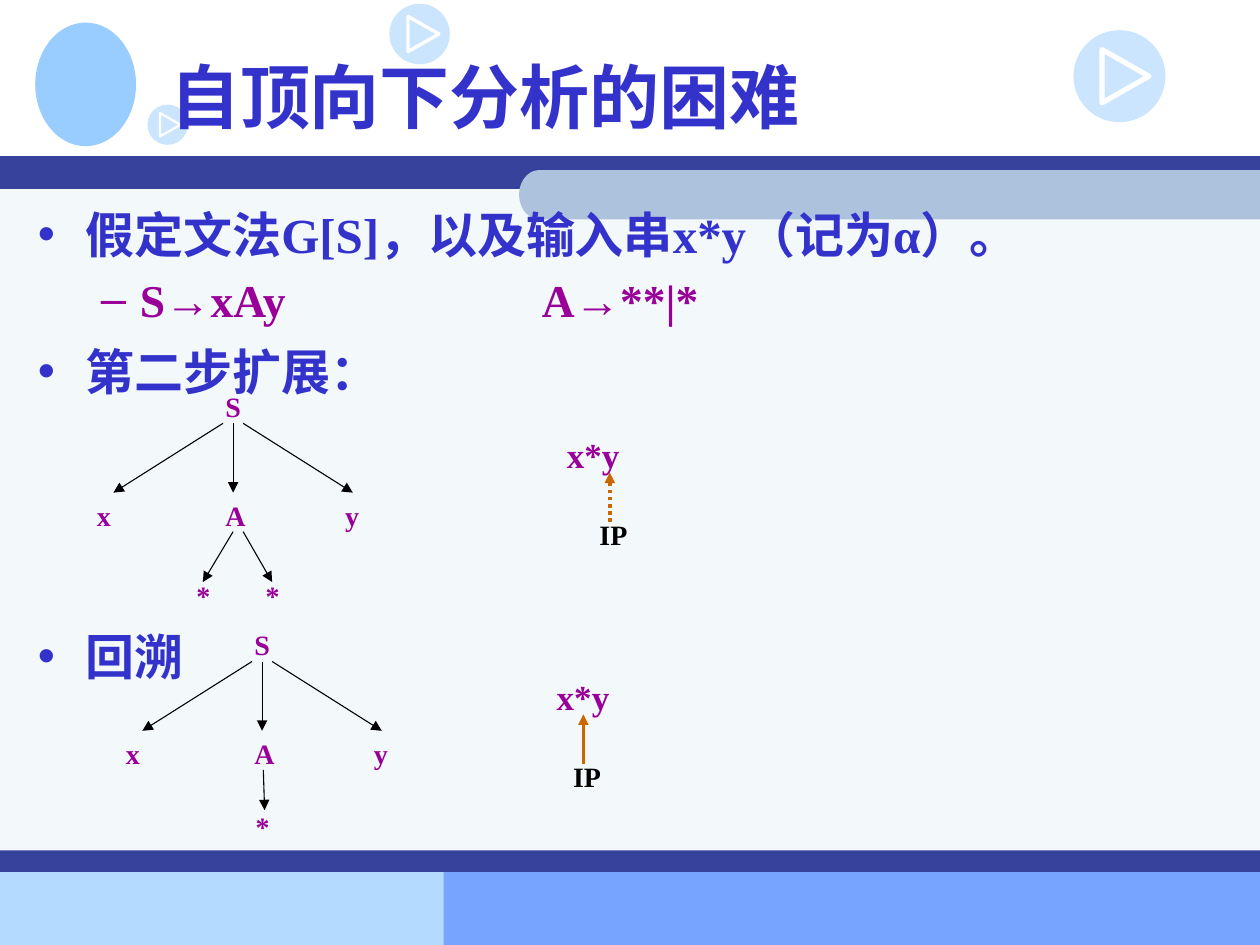
from math import cos, pi, sin

from lxml.etree import SubElement
from pptx import Presentation
from pptx.dml.color import RGBColor
from pptx.enum.dml import MSO_LINE_DASH_STYLE as DASH
from pptx.enum.shapes import MSO_CONNECTOR, MSO_SHAPE as SHAPE
from pptx.enum.text import MSO_ANCHOR, MSO_AUTO_SIZE, PP_ALIGN
from pptx.oxml.ns import qn
from pptx.util import Inches, Pt

WHITE = RGBColor(0xFF, 0xFF, 0xFF)
BLACK = RGBColor(0, 0, 0)
BLUE = RGBColor(0x33, 0x33, 0xCC)
PURPLE = RGBColor(0x99, 0x00, 0x99)
ORANGE = RGBColor(0xCC, 0x66, 0x00)
NAVY = RGBColor(0x36, 0x42, 0x9B)
PALE = RGBColor(0xF3, 0xF8, 0xFB)
STEEL = RGBColor(0xAD, 0xC3, 0xDD)
SKY = RGBColor(0x99, 0xCC, 0xFF)
DISC = RGBColor(0xCC, 0xE5, 0xFF)
FOOT_LEFT = RGBColor(0xB5, 0xDA, 0xFF)
FOOT_RIGHT = RGBColor(0x77, 0xA4, 0xFF)


class SlideBuilder:
    latin = "Times New Roman"
    asian = "Noto Sans CJK SC"

    def __init__(self, slide):
        self.s = slide

    def style(self, r, size, color, name=None):
        values = {"name": name or self.latin, "size": Pt(size), "bold": True}
        for key, value in values.items():
            setattr(r.font, key, value)
        r.font.color.rgb = color
        SubElement(r._r.get_or_add_rPr(), qn("a:ea"), typeface=self.asian)

    def paint(self, sp, fill):
        sp.shadow.inherit = False
        sp.fill.solid()
        sp.fill.fore_color.rgb = fill
        sp.line.fill.background()

    def shape(self, kind, box, fill):
        sp = self.s.shapes.add_shape(kind, *map(Inches, box))
        self.paint(sp, fill)

    def outline(self, points):
        pts = [(Inches(x), Inches(y)) for x, y in points]
        builder = self.s.shapes.build_freeform(*pts[0])
        builder.add_line_segments(pts[1:], close=True)
        return builder.convert_to_shape()

    def tab_band(self, left, top, right, height, radius):
        half = height / 2
        angles = [pi / 2 + pi * i / 24 for i in range(25)]
        curve = [(left + radius + radius * cos(a), top + half - half * sin(a))
                 for a in angles]
        sp = self.outline([(right, top)] + curve + [(right, top + height)])
        self.paint(sp, STEEL)

    def play_icon(self, left, top, size):
        self.shape(SHAPE.OVAL, (left, top, size, size), DISC)
        corners = [(0.31, 0.21), (0.31, 0.79), (0.82, 0.5)]
        sp = self.outline([(left + x * size, top + y * size) for x, y in corners])
        sp.shadow.inherit = False
        sp.fill.background()
        sp.line.color.rgb = WHITE
        sp.line.width = Pt(4 * size)

    def place(self, sp, box):
        for key, value in zip(("left", "top", "width", "height"), box):
            setattr(sp, key, Inches(value))
        self.s.shapes._spTree.append(sp._element)
        sp.text_frame.auto_size = MSO_AUTO_SIZE.NONE

    def title(self, text, box):
        sp = self.s.shapes.title
        self.place(sp, box)
        tf = sp.text_frame
        tf.vertical_anchor = MSO_ANCHOR.MIDDLE
        p = tf.paragraphs[0]
        p.alignment = PP_ALIGN.LEFT
        r = p.add_run()
        r.text = text
        self.style(r, 40, BLUE, self.asian)

    def body(self, items, box):
        sp = self.s.placeholders[1]
        self.place(sp, box)
        tf = sp.text_frame
        for i, (text, level, before) in enumerate(items):
            p = tf.paragraphs[0] if i == 0 else tf.add_paragraph()
            size, color, bullet, margin, indent, line = (
                (28, BLUE, "•", 0.38, -0.38, 36),
                (26, PURPLE, "–", 0.81, -0.31, 30))[level]
            pPr = p._p.get_or_add_pPr()
            pPr.set("marL", str(Inches(margin)))
            pPr.set("indent", str(Inches(indent)))
            clr = SubElement(pPr, qn("a:buClr"))
            SubElement(clr, qn("a:srgbClr"), val=str(color))
            SubElement(pPr, qn("a:buChar"), char=bullet)
            if "\t" in text:
                tabs = SubElement(pPr, qn("a:tabLst"))
                SubElement(tabs, qn("a:tab"), pos=str(Inches(4)), algn="l")
            values = {"level": level, "alignment": PP_ALIGN.LEFT,
                      "space_before": Pt(before), "line_spacing": Pt(line)}
            for key, value in values.items():
                setattr(p, key, value)
            r = p.add_run()
            r.text = text
            self.style(r, size, color)

    def label(self, text, left, top, width, size=16, color=PURPLE):
        height = 0.44 if size == 20 else 0.37
        sp = self.s.shapes.add_textbox(*map(Inches, (left, top, width, height)))
        tf = sp.text_frame
        tf.word_wrap = True
        r = tf.paragraphs[0].add_run()
        r.text = text
        self.style(r, size, color)

    def arrow(self, x1, y1, x2, y2, color=BLACK, width=0.62, dash=None):
        c = self.s.shapes.add_connector(
            MSO_CONNECTOR.STRAIGHT, *map(Inches, (x1, y1, x2, y2)))
        c.line.color.rgb = color
        c.line.width = Pt(width)
        if dash:
            c.line.dash_style = dash
        SubElement(c.line._get_or_add_ln(), qn("a:tailEnd"), type="triangle")
        SubElement(c._element.spPr, qn("a:effectLst"))

    def tree(self, x, y):
        for start, end in ((-0.08, -0.95), (0, 0), (0.08, 0.95)):
            self.arrow(x + start, y + 0.32, x + end, y + 0.87)
        self.label("S", x - 0.16, y, 0.34)
        for text, dx, width in (("x", -1.18, 0.33), ("A", -0.16, 0.38),
                                ("y", 0.79, 0.34)):
            self.label(text, x + dx, y + 0.87, width)

    def input_pointer(self, text_left, top, pointer_x, dash=None):
        self.label("x*y", text_left, top, 0.79, 20)
        self.arrow(pointer_x, top + 0.75, pointer_x, top + 0.36, ORANGE, 2, dash)
        self.label("IP", pointer_x - 0.18, top + 0.67, 0.44, color=BLACK)


def main():
    prs = Presentation()
    prs.slide_width, prs.slide_height = Inches(10), Inches(7.5)
    b = SlideBuilder(prs.slides.add_slide(prs.slide_layouts[1]))

    for box, fill in (((0, 6.92, 4.25, 0.58), FOOT_LEFT),
                      ((3.52, 6.91, 6.48, 0.59), FOOT_RIGHT),
                      ((0, 1.4, 10, 5.51), PALE),
                      ((0, 1.24, 10, 0.26), NAVY),
                      ((0, 6.75, 10, 0.17), NAVY)):
        b.shape(SHAPE.RECTANGLE, box, fill)
    b.tab_band(4.12, 1.35, 10, 0.39, 0.16)
    b.shape(SHAPE.OVAL, (0.28, 0.18, 0.8, 0.98), SKY)
    for icon in ((3.09, 0.03, 0.48), (8.52, 0.24, 0.73), (1.17, 0.83, 0.32)):
        b.play_icon(*icon)

    b.title("自顶向下分析的困难", (1.25, 0.17, 8.5, 1.17))
    b.body([("假定文法G[S]，以及输入串x*y（记为α）。", 0, 0),
            ("S→xAy\tA→**|*", 1, 6),
            ("第二步扩展：", 0, 6),
            ("回溯", 0, 127)], (0.2, 1.54, 9.61, 4.96))

    b.tree(1.85, 3.04)
    for x1, x2, left in ((1.85, 1.61, 1.46), (1.93, 2.16, 2.01)):
        b.arrow(x1, 4.22, x2, 4.62)
        b.label("*", left, 4.54, 0.32)
    b.input_pointer(4.4, 3.39, 4.84, DASH.ROUND_DOT)

    b.tree(2.08, 4.93)
    b.arrow(2.09, 6.11, 2.1, 6.43)
    b.label("*", 1.93, 6.38, 0.32)
    b.input_pointer(4.32, 5.31, 4.63)

    prs.save("out.pptx")


if __name__ == "__main__":
    main()
